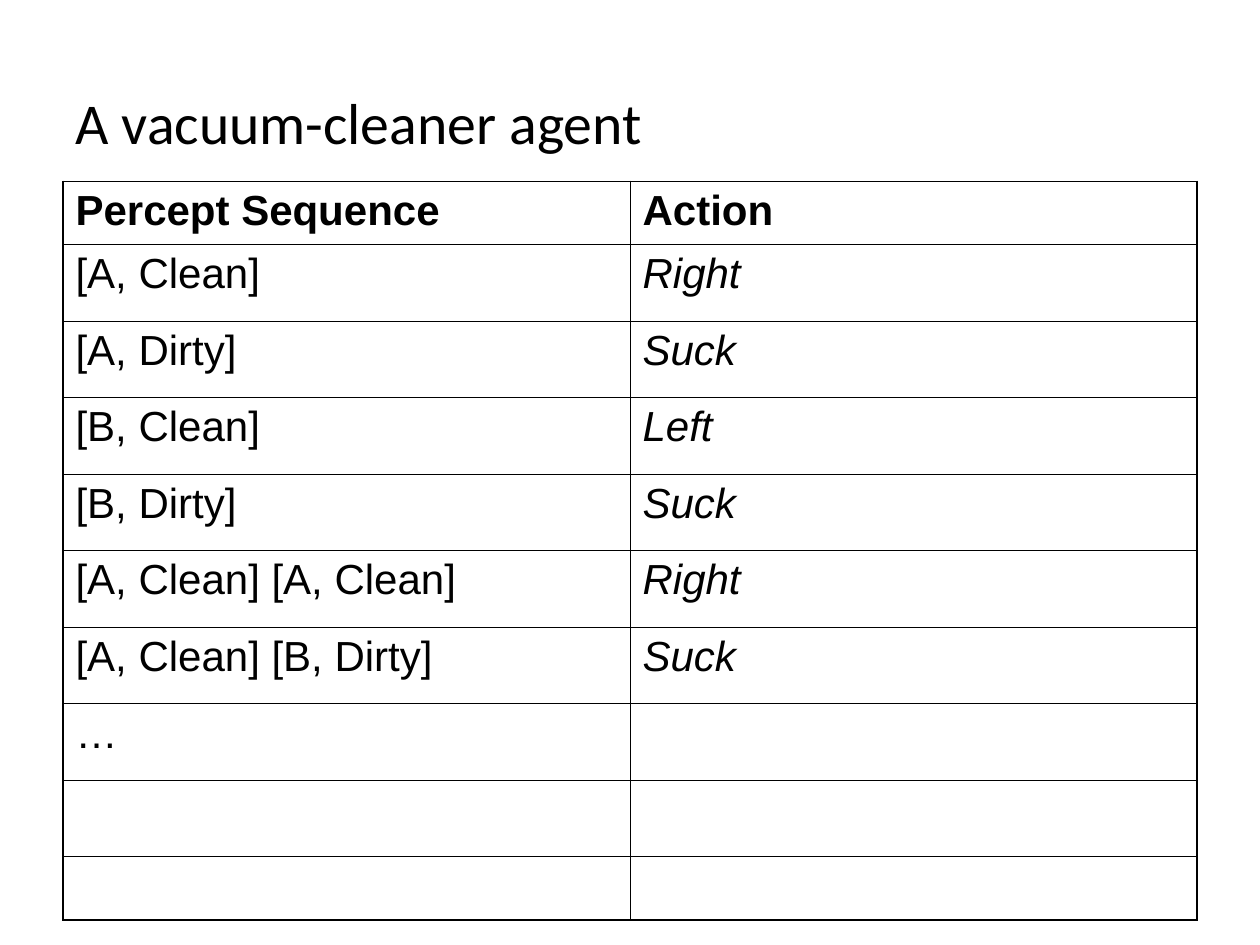
from dataclasses import dataclass

from lxml import etree
from pptx import Presentation
from pptx.dml.color import RGBColor
from pptx.enum.text import MSO_ANCHOR
from pptx.oxml.ns import qn
from pptx.slide import Slide
from pptx.table import _Cell
from pptx.text.text import _Paragraph
from pptx.util import Inches, Pt

MIDDLE = MSO_ANCHOR.MIDDLE
WIDTH, HEIGHT = Inches(10), Inches(7.5)
MARGIN = WIDTH // 20


@dataclass(frozen=True)
class Theme:
    ink: str = "000000"
    title_font: str = "Calibri"
    table_font: str = "Arial"
    title_size: float = 33
    table_size: float = 24
    outer_line: float = 1.08
    inner_line: float = 0.45


@dataclass(frozen=True)
class Rule:
    percept: str = ""
    action: str = ""


THEME = Theme()
HEADER = Rule("Percept Sequence", "Action")
RULES = [
    Rule("[A, Clean]", "Right"),
    Rule("[A, Dirty]", "Suck"),
    Rule("[B, Clean]", "Left"),
    Rule("[B, Dirty]", "Suck"),
    Rule("[A, Clean] [A, Clean]", "Right"),
    Rule("[A, Clean] [B, Dirty]", "Suck"),
    Rule("…"),
    Rule(),
    Rule(),
]


def style_text(p: _Paragraph, font: str, size: float, bold: bool = False, italic: bool = False) -> None:
    """Format every run of a paragraph."""
    for r in p.runs:
        r.font.name, r.font.size = font, Pt(size)
        r.font.bold, r.font.italic = bold, italic
        r.font.color.rgb = RGBColor.from_string(THEME.ink)


def add_border(cell: _Cell, side: str, width: float) -> None:
    """Draw one solid side of a cell."""
    ln = etree.SubElement(cell._tc.get_or_add_tcPr(), qn(f"a:ln{side}"), w=str(Pt(width)))
    fill = etree.SubElement(ln, qn("a:solidFill"))
    etree.SubElement(fill, qn("a:srgbClr"), val=THEME.ink)


def add_title(s: Slide, text: str) -> None:
    """Place the title in the upper part of its box."""
    tf = s.shapes.add_textbox(MARGIN, HEIGHT // 15, WIDTH - 2 * MARGIN, HEIGHT // 5).text_frame
    tf.word_wrap = True
    tf.vertical_anchor = MIDDLE
    tf.margin_bottom = Inches(0.55)
    p = tf.paragraphs[0]
    p.text = text
    p.line_spacing = 0.9
    style_text(p, THEME.title_font, THEME.title_size)


def add_rule_table(s: Slide, rules: list[Rule]) -> None:
    """Tabulate the header and rules inside a heavier outer frame."""
    last = len(rules) - 1
    top, height = Inches(1.44), Inches(5.86)
    table = s.shapes.add_table(len(rules), 2, MARGIN, top, WIDTH - 2 * MARGIN, height).table
    table.first_row = table.horz_banding = False
    end_height = HEIGHT // 15
    for i, rule in enumerate(rules):
        table.rows[i].height = end_height if i in (0, last) else (height - 2 * end_height) // (last - 1)
        for j, text in enumerate((rule.percept, rule.action)):
            cell = table.cell(i, j)
            outer = {"L": j == 0, "R": j == 1, "T": i == 0, "B": i == last}
            for side, is_outer in outer.items():
                add_border(cell, side, THEME.outer_line if is_outer else THEME.inner_line)
            cell.fill.background()
            p = cell.text_frame.paragraphs[0]
            p.text = text
            style_text(p, THEME.table_font, THEME.table_size, bold=i == 0, italic=i > 0 and j == 1)


def main() -> None:
    """Build and save the slide."""
    prs = Presentation()
    prs.slide_width, prs.slide_height = WIDTH, HEIGHT
    s = prs.slides.add_slide(prs.slide_layouts[6])
    add_title(s, "A vacuum-cleaner agent")
    add_rule_table(s, [HEADER, *RULES])
    prs.save("out.pptx")


if __name__ == "__main__":
    main()
